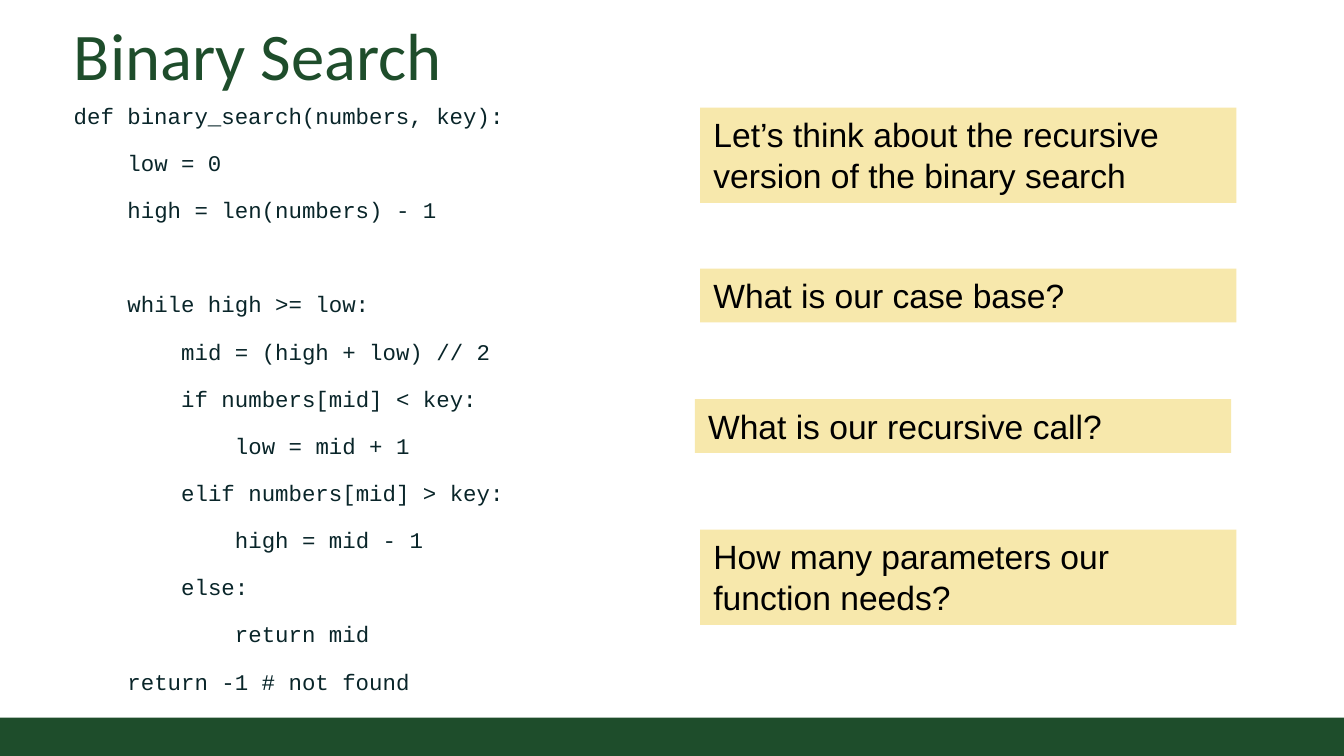
import pptx
import pptx.util
import pptx.dml.color
import pptx.enum.shapes
import pptx.enum.text

Inches = pptx.util.Inches
Pt = pptx.util.Pt
GREEN = pptx.dml.color.RGBColor(0x1E, 0x4D, 0x2B)
CODE_INK = pptx.dml.color.RGBColor(0x09, 0x25, 0x29)
YELLOW = pptx.dml.color.RGBColor(0xF7, 0xE8, 0xAC)
BLACK = pptx.dml.color.RGBColor(0, 0, 0)

SLIDE_WIDTH = 10
SLIDE_HEIGHT = SLIDE_WIDTH * 9 / 16
INDENT = 0.4
CODE_GAP = 4
CODE_PITCH = 25.2
CODE = [
    (0, "def binary_search(numbers, key):"),
    (1, "low = 0"),
    (1, "high = len(numbers) - 1"),
    (1, "while high >= low:"),
    (2, "mid = (high + low) // 2"),
    (2, "if numbers[mid] < key:"),
    (3, "low = mid + 1"),
    (2, "elif numbers[mid] > key:"),
    (3, "high = mid - 1"),
    (2, "else:"),
    (3, "return mid"),
    (1, "return -1 # not found"),
]
QUESTIONS = [
    (5.21, 0.8, 0.71, "Let’s think about the recursive version of the binary search"),
    (5.21, 2, 0.4, "What is our case base?"),
    (5.17, 2.97, 0.4, "What is our recursive call?"),
    (5.21, 3.94, 0.71, "How many parameters our function needs?"),
]


def write_text(paragraph, text, font="Arial", size=18, color=BLACK):
    """Write formatted, left-aligned text into a paragraph."""
    paragraph.alignment = pptx.enum.text.PP_ALIGN.LEFT
    run = paragraph.add_run()
    run.text = text
    run.font.name = font
    run.font.size = Pt(size)
    run.font.color.rgb = color


def set_frame(frame, anchor, horizontal=0.1, vertical=0.1):
    """Set wrapping, anchor and margins of a text frame."""
    frame.word_wrap = True
    frame.auto_size = pptx.enum.text.MSO_AUTO_SIZE.NONE
    frame.vertical_anchor = anchor
    frame.margin_left = frame.margin_right = Inches(horizontal)
    frame.margin_top = frame.margin_bottom = Inches(vertical)


def add_rectangle(slide, left, top, width, height, color):
    """Add a plain filled rectangle."""
    shape = slide.shapes.add_shape(
        pptx.enum.shapes.MSO_SHAPE.RECTANGLE,
        Inches(left), Inches(top), Inches(width), Inches(height))
    shape.shadow.inherit = False
    shape.fill.solid()
    shape.fill.fore_color.rgb = color
    shape.line.fill.background()
    return shape


def add_title(slide, left, top, width, height):
    """Place and format the title placeholder."""
    title = slide.shapes.title
    title.left, title.top = Inches(left), Inches(top)
    title.width, title.height = Inches(width), Inches(height)
    set_frame(title.text_frame, pptx.enum.text.MSO_ANCHOR.BOTTOM)
    write_text(title.text_frame.paragraphs[0], "Binary Search",
               font="Calibri", size=35.7, color=GREEN)


def add_code(slide, left, top, width, height):
    """Place the code listing, with a gap before its loop."""
    box = slide.shapes.add_textbox(
        Inches(left), Inches(top), Inches(width), Inches(height))
    frame = box.text_frame
    set_frame(frame, pptx.enum.text.MSO_ANCHOR.TOP)
    for index, (level, text) in enumerate(CODE):
        paragraph = frame.add_paragraph() if index else frame.paragraphs[0]
        starts_loop = text.startswith("while")
        paragraph.line_spacing = 1.2
        paragraph.space_before = Pt(CODE_GAP + CODE_PITCH * starts_loop)
        paragraph.space_after = Pt(CODE_GAP)
        properties = paragraph._p.get_or_add_pPr()
        properties.set("marL", str(Inches(INDENT * level)))
        properties.set("indent", "0")
        write_text(paragraph, text, font="Courier New", size=12, color=CODE_INK)


def add_question(slide, left, top, width, height, text):
    """Place one highlighted question."""
    shape = add_rectangle(slide, left, top, width, height, YELLOW)
    set_frame(shape.text_frame, pptx.enum.text.MSO_ANCHOR.TOP, vertical=0.05)
    write_text(shape.text_frame.paragraphs[0], text)


def main():
    """Build and save the slide."""
    presentation = pptx.Presentation()
    presentation.slide_width = Inches(SLIDE_WIDTH)
    presentation.slide_height = Inches(SLIDE_HEIGHT)
    slide = presentation.slides.add_slide(presentation.slide_layouts[5])
    add_rectangle(slide, 0, 5.34, SLIDE_WIDTH, SLIDE_HEIGHT - 5.34, GREEN)
    add_title(slide, 0.45, 0, 9.09, 0.8)
    add_code(slide, 0.45, 0.62, 4.34, 4.69)
    for left, top, height, text in QUESTIONS:
        add_question(slide, left, top, 3.99, height, text)
    presentation.save("out.pptx")


if __name__ == "__main__":
    main()
